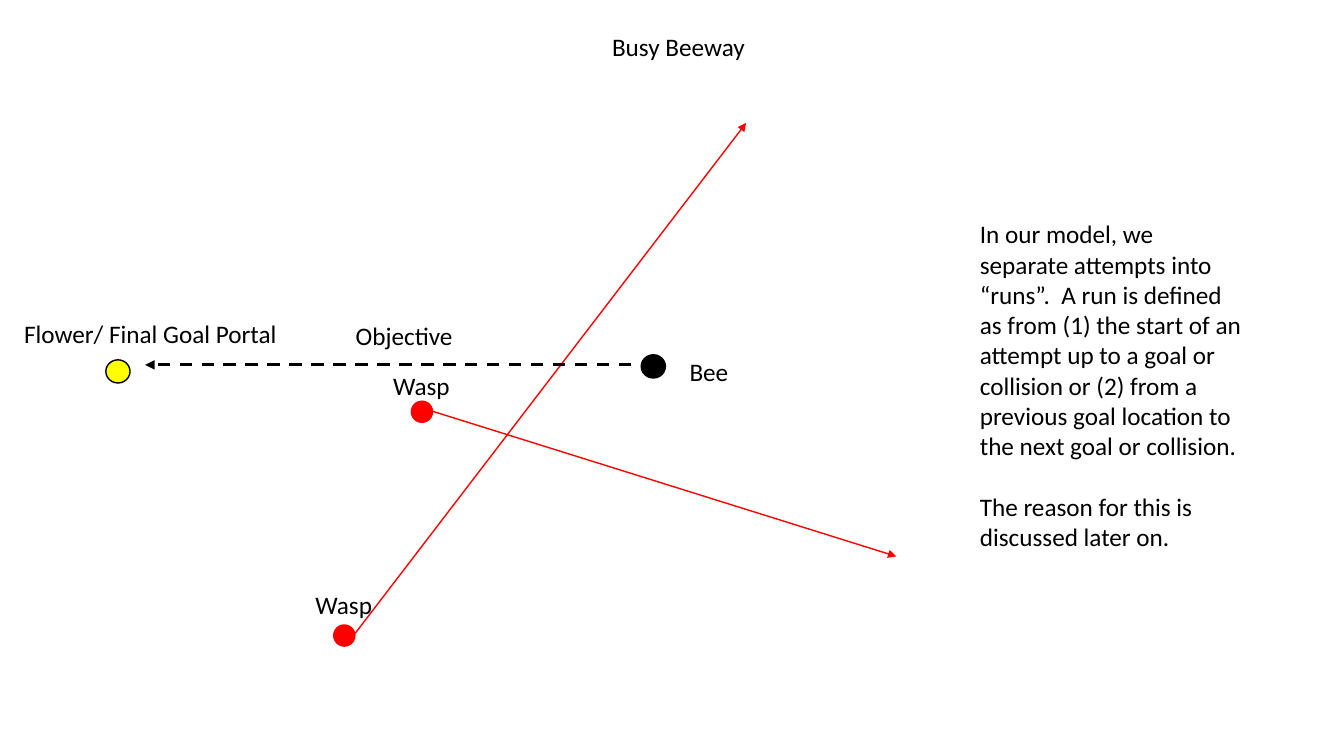
from dataclasses import dataclass

from lxml.etree import SubElement
from pptx import Presentation
from pptx.dml.color import RGBColor
from pptx.enum.dml import MSO_LINE
from pptx.enum.shapes import MSO_CONNECTOR, MSO_SHAPE
from pptx.enum.text import MSO_ANCHOR, MSO_AUTO_SIZE, PP_ALIGN
from pptx.oxml.ns import qn
from pptx.slide import Slide
from pptx.text.text import TextFrame
from pptx.util import Emu, Pt

EMU_PER_PX = 9144  # 100 px to the inch


@dataclass(frozen=True)
class Theme:
    font: str = "Calibri"
    text_size: int = 18
    paragraph_gap: int = 22
    thin: float = 1
    thick: float = 2.25
    ink: RGBColor = RGBColor(0x00, 0x00, 0x00)
    wasp: RGBColor = RGBColor(0xFF, 0x00, 0x00)
    flower: RGBColor = RGBColor(0xFF, 0xFF, 0x00)


THEME = Theme()


@dataclass(frozen=True)
class Box:
    left: int
    top: int
    width: int
    height: int

    def emu(self) -> tuple[Emu, Emu, Emu, Emu]:
        return px(self.left), px(self.top), px(self.width), px(self.height)


@dataclass(frozen=True)
class Dot:
    box: Box
    fill: RGBColor
    outline: RGBColor


@dataclass(frozen=True)
class Flight:
    start: tuple[int, int]
    end: tuple[int, int]
    color: RGBColor
    weight: float
    dashed: bool = False


@dataclass(frozen=True)
class Caption:
    box: Box
    paragraphs: tuple[str, ...]
    wrap: bool = False


TITLE = Caption(Box(597, 26, 153, 40), ("Busy Beeway",))

DOTS = (
    Dot(Box(105, 357, 24, 23), THEME.flower, THEME.ink),
    Dot(Box(636, 352, 24, 23), THEME.ink, THEME.ink),
    Dot(Box(408, 398, 21, 21), THEME.wasp, THEME.wasp),
    Dot(Box(331, 620, 21, 21), THEME.wasp, THEME.wasp),
)

FLIGHTS = (
    Flight((429, 408), (889, 552), THEME.wasp, THEME.thin),
    Flight((351, 630), (740, 122), THEME.wasp, THEME.thin),
    Flight((626, 362), (144, 362), THEME.ink, THEME.thick, dashed=True),
)

CAPTIONS = (
    Caption(
        Box(962, 212, 284, 343),
        (
            "In our model, we separate attempts into “runs”.  A run is defined "
            "as from (1) the start of an attempt up to a goal or collision or "
            "(2) from a previous goal location to the next goal or collision.",
            "The reason for this is discussed later on.",
        ),
        wrap=True,
    ),
    Caption(Box(674, 349, 59, 40), ("Bee",)),
    Caption(Box(303, 580, 77, 40), ("Wasp",)),
    Caption(Box(380, 362, 77, 40), ("Wasp",)),
    Caption(Box(14, 311, 273, 40), ("Flower/ Final Goal Portal",)),
    Caption(Box(343, 313, 117, 40), ("Objective",)),
)


def px(length: int) -> Emu:
    return Emu(length * EMU_PER_PX)


def write_text(frame: TextFrame, caption: Caption) -> None:
    frame.word_wrap = caption.wrap
    frame.auto_size = MSO_AUTO_SIZE.SHAPE_TO_FIT_TEXT
    frame.vertical_anchor = MSO_ANCHOR.TOP
    for index, text in enumerate(caption.paragraphs):
        paragraph = frame.add_paragraph() if index else frame.paragraphs[0]
        paragraph.alignment = PP_ALIGN.LEFT
        if index:
            paragraph.space_before = Pt(THEME.paragraph_gap)
        run = paragraph.add_run()
        run.text = text
        run.font.name = THEME.font
        run.font.size = Pt(THEME.text_size)
        run.font.color.rgb = THEME.ink


def add_title(slide: Slide, caption: Caption) -> None:
    title = slide.shapes.title
    title.left, title.top, title.width, title.height = caption.box.emu()
    write_text(title.text_frame, caption)


def add_caption(slide: Slide, caption: Caption) -> None:
    write_text(slide.shapes.add_textbox(*caption.box.emu()).text_frame, caption)


def add_dot(slide: Slide, dot: Dot) -> None:
    ellipse = slide.shapes.add_shape(MSO_SHAPE.OVAL, *dot.box.emu())
    ellipse.shadow.inherit = False
    ellipse.fill.solid()
    ellipse.fill.fore_color.rgb = dot.fill
    ellipse.line.color.rgb = dot.outline
    ellipse.line.width = Pt(THEME.thin)


def add_flight(slide: Slide, flight: Flight) -> None:
    ends = [px(value) for value in flight.start + flight.end]
    arrow = slide.shapes.add_connector(MSO_CONNECTOR.STRAIGHT, *ends)
    arrow.line.color.rgb = flight.color
    arrow.line.width = Pt(flight.weight)
    if flight.dashed:
        arrow.line.dash_style = MSO_LINE.DASH
    # Arrowhead at the end, and no shadow
    properties = arrow.element.spPr
    SubElement(properties.find(qn("a:ln")), qn("a:tailEnd"), type="triangle")
    SubElement(properties, qn("a:effectLst"))


def main() -> None:
    presentation = Presentation()
    presentation.slide_width = px(1333)
    presentation.slide_height = px(750)
    title_only = presentation.slide_layouts[5]
    slide = presentation.slides.add_slide(title_only)

    add_title(slide, TITLE)
    # Flower, bee and wasps
    for dot in DOTS:
        add_dot(slide, dot)
    # Wasp paths and the bee's objective
    for flight in FLIGHTS:
        add_flight(slide, flight)
    # Explanation and labels
    for caption in CAPTIONS:
        add_caption(slide, caption)

    presentation.save("out.pptx")


if __name__ == "__main__":
    main()
